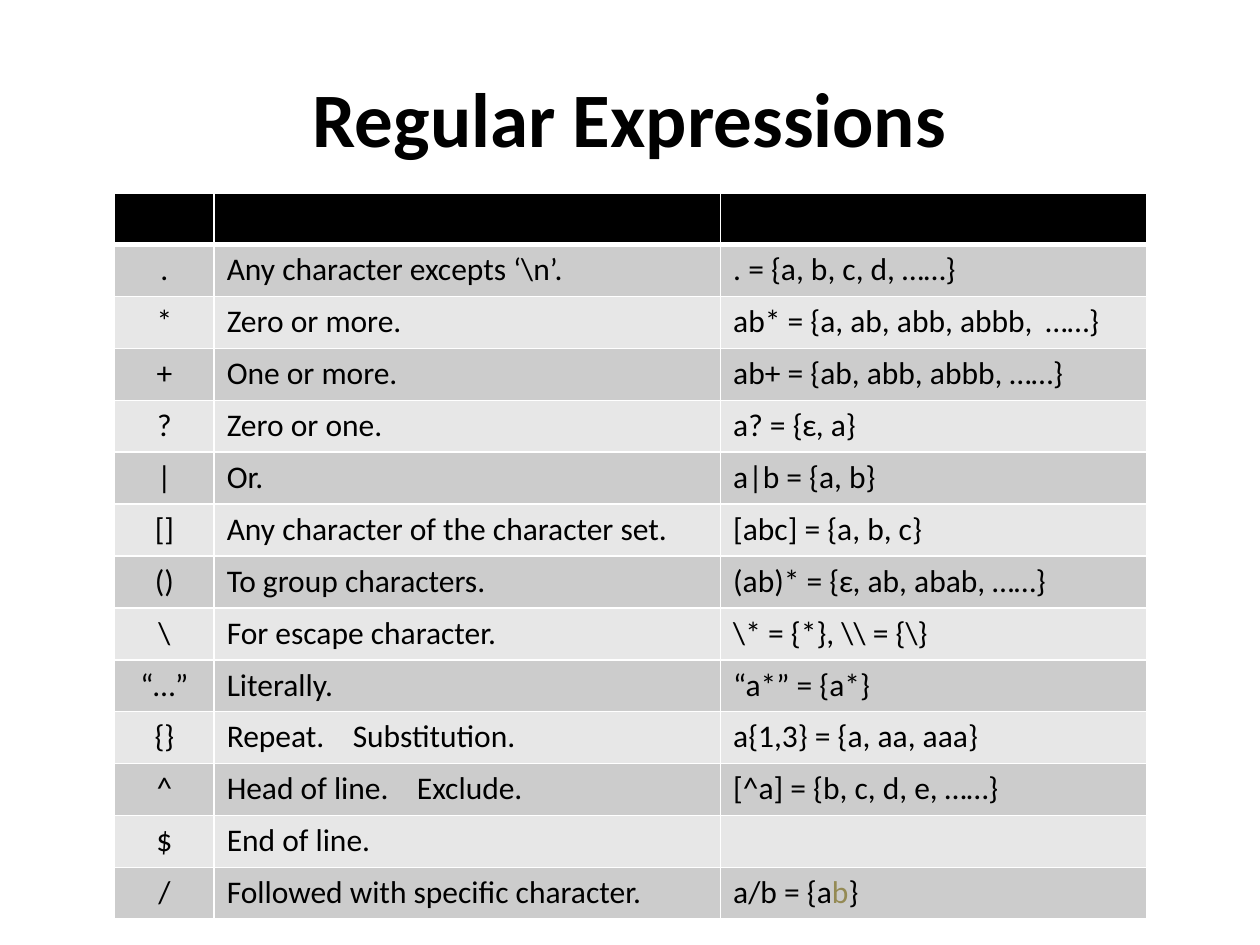
from dataclasses import dataclass

from lxml import etree
from pptx import Presentation
from pptx.dml.color import RGBColor
from pptx.enum import text
from pptx.oxml import ns
from pptx.util import Inches, Pt


@dataclass(frozen=True)
class Theme:
    font: str = "Calibri"
    title_size: int = 44
    body_size: int = 18
    ink: str = "000000"
    accent: str = "948A54"
    header: str = "000000"
    bands: tuple[str, str] = ("CCCCCC", "E7E7E7")
    border: str = "FFFFFF"
    thin: float = 1
    thick: float = 3


@dataclass(frozen=True)
class Span:
    text: str
    color: str


@dataclass(frozen=True)
class Rule:
    """One operator; a tab in its meaning or example advances to the given stop in inches."""
    symbol: str
    meaning: str
    example: str | tuple[Span, ...]
    meaning_stop: float | None = None
    example_stop: float | None = None


THEME = Theme()
COLUMN_WIDTHS = (0.79, 4.02, 3.38)
TABLE_LEFT, TABLE_TOP, TABLE_HEIGHT = 0.91, 1.53, 5.77
RULES = (
    Rule(".", "Any character excepts ‘\\n’.", ". = {a, b, c, d, ……}"),
    Rule("*", "Zero or more.", "ab* = {a, ab, abb, abbb,\t……}", example_stop=2.48),
    Rule("+", "One or more.", "ab+ = {ab, abb, abbb, ……}"),
    Rule("?", "Zero or one.", "a? = {ԑ, a}"),
    Rule("|", "Or.", "a|b = {a, b}"),
    Rule("[]", "Any character of the character set.", "[abc] = {a, b, c}"),
    Rule("()", "To group characters.", "(ab)* = {ԑ, ab, abab, ……}"),
    Rule("\\", "For escape character.", "\\* = {*}, \\\\ = {\\}"),
    Rule("“…”", "Literally.", "“a*” = {a*}"),
    Rule("{}", "Repeat.\tSubstitution.", "a{1,3} = {a, aa, aaa}", meaning_stop=1),
    Rule("^", "Head of line.\tExclude.", "[^a] = {b, c, d, e, ……}", meaning_stop=1.51),
    Rule("$", "End of line.", ""),
    Rule("/", "Followed with specific character.",
         (Span("a/b = {a", THEME.ink), Span("b", THEME.accent), Span("}", THEME.ink))),
)


def add_span(para, span: Span, size: float, bold: bool = False) -> None:
    run = para.add_run()
    run.text = span.text
    run.font.name = THEME.font
    run.font.size = Pt(size)
    run.font.bold = bold
    run.font.color.rgb = RGBColor.from_string(span.color)


def add_tab_stop(para, position: float) -> None:
    stops = etree.SubElement(para._p.get_or_add_pPr(), ns.qn("a:tabLst"))
    etree.SubElement(stops, ns.qn("a:tab"), pos=str(Inches(position)), algn="l")


def style_cell(cell, fill: str, bottom: float) -> None:
    properties = cell._tc.get_or_add_tcPr()
    for side in "LRTB":
        width = bottom if side == "B" else THEME.thin
        line = etree.SubElement(properties, ns.qn(f"a:ln{side}"), w=str(Pt(width)))
        solid = etree.SubElement(line, ns.qn("a:solidFill"))
        etree.SubElement(solid, ns.qn("a:srgbClr"), val=THEME.border)
    cell.fill.solid()
    cell.fill.fore_color.rgb = RGBColor.from_string(fill)


def fill_cell(cell, content: str | tuple[Span, ...], stop: float | None = None) -> None:
    para = cell.text_frame.paragraphs[0]
    if stop is not None:
        add_tab_stop(para, stop)
    spans = (Span(content, THEME.ink),) if isinstance(content, str) else content
    for span in spans:
        if span.text:
            add_span(para, span, THEME.body_size)


def add_title(page, wording: str) -> None:
    box = page.shapes.title
    box.left, box.top, box.width, box.height = map(Inches, (0.5, 0.3, 9, 1.25))
    box.text_frame.vertical_anchor = text.MSO_ANCHOR.MIDDLE
    para = box.text_frame.paragraphs[0]
    para.alignment = text.PP_ALIGN.CENTER
    add_span(para, Span(wording, THEME.ink), THEME.title_size, bold=True)


def add_rule_table(page, rules: tuple[Rule, ...]) -> None:
    table = page.shapes.add_table(
        len(rules) + 1, len(COLUMN_WIDTHS), Inches(TABLE_LEFT), Inches(TABLE_TOP),
        Inches(sum(COLUMN_WIDTHS)), Inches(TABLE_HEIGHT)).table
    for column, width in zip(table.columns, COLUMN_WIDTHS):
        column.width = Inches(width)
    for cell in table.rows[0].cells:
        style_cell(cell, THEME.header, THEME.thick)
    for index, rule in enumerate(rules):
        cells = list(table.rows[index + 1].cells)
        for cell in cells:
            style_cell(cell, THEME.bands[index % 2], THEME.thin)
        symbol, meaning, example = cells
        fill_cell(symbol, rule.symbol)
        symbol.text_frame.paragraphs[0].alignment = text.PP_ALIGN.CENTER
        fill_cell(meaning, rule.meaning, rule.meaning_stop)
        fill_cell(example, rule.example, rule.example_stop)


def main() -> None:
    deck = Presentation()
    deck.slide_width, deck.slide_height = Inches(10), Inches(7.5)
    page = deck.slides.add_slide(deck.slide_layouts.get_by_name("Title Only"))
    add_title(page, "Regular Expressions")
    add_rule_table(page, RULES)
    deck.save("out.pptx")


if __name__ == "__main__":
    main()
